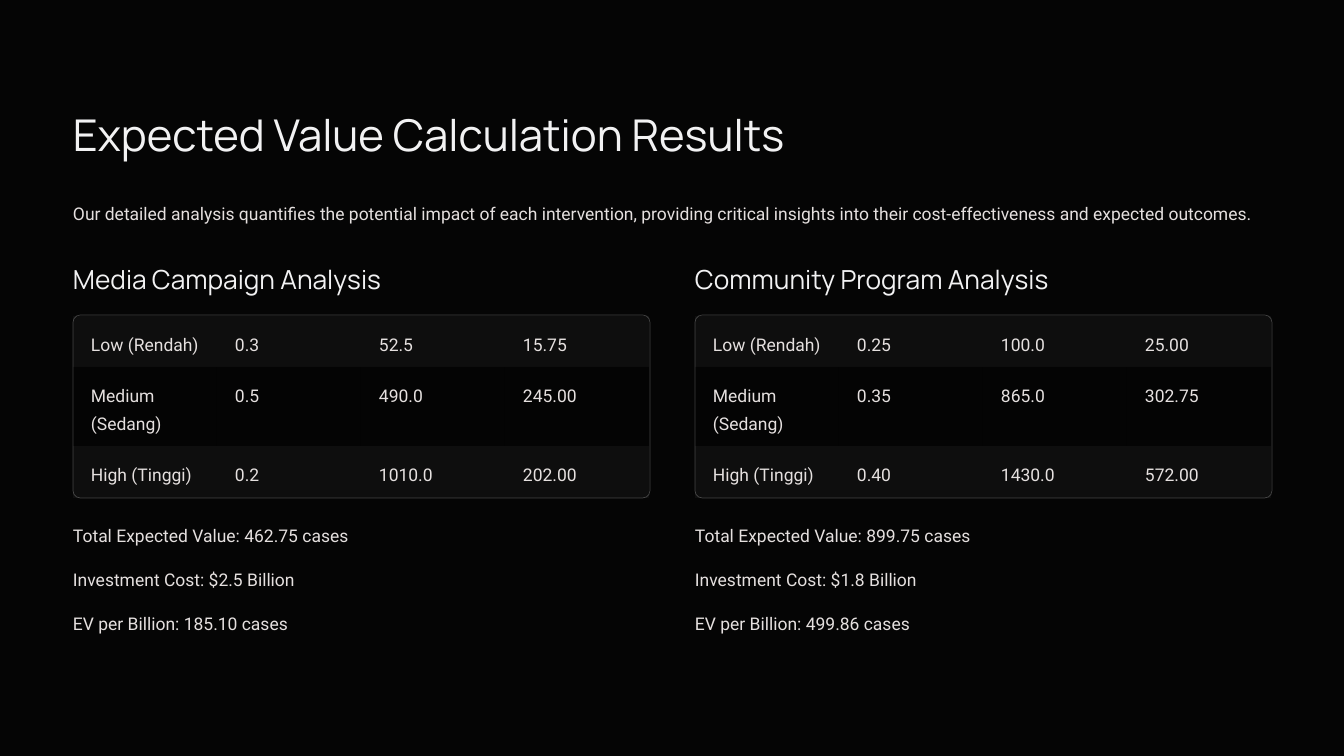
import pptx
import pptx.dml.color
import pptx.enum.shapes
import pptx.enum.text
import pptx.oxml.ns
import pptx.util
from lxml import etree

PX = 914400 / 84
SHAPE = pptx.enum.shapes.MSO_SHAPE
WHITE, BLACK, BACKDROP = "FFFFFF", "000000", "050505"
HEADING = dict(font="Manrope", color="F2F2F3")
BODY = dict(font="Roboto", color="E5E0DF", size=15, leading=24)


def px(n):
    return pptx.util.Emu(round(n * PX))


def rgb(color):
    return pptx.dml.color.RGBColor.from_string(color)


def paint(fill, color):
    fill.solid()
    fill.fore_color.rgb = rgb(color)


def write(tf, text, font, color, size, leading):
    """Put one paragraph into a text frame; leading is the line pitch in points."""
    tf.word_wrap = True
    p = tf.paragraphs[0]
    p.line_spacing = pptx.util.Pt(leading)
    r = p.add_run()
    r.text = text
    r.font.name = font
    r.font.size = pptx.util.Pt(size)
    r.font.color.rgb = rgb(color)


def set_opacity(element, percent):
    for clr in element.iter(pptx.oxml.ns.qn("a:srgbClr")):
        alpha = etree.SubElement(clr, pptx.oxml.ns.qn("a:alpha"))
        alpha.set("val", str(percent * 1000))


def clear_borders(tc_pr):
    for i, side in enumerate(("lnL", "lnR", "lnT", "lnB")):
        ln = etree.Element(pptx.oxml.ns.qn("a:" + side), w="0")
        etree.SubElement(ln, pptx.oxml.ns.qn("a:noFill"))
        tc_pr.insert(i, ln)


class Deck:
    """Holds the presentation, its look and the current slide."""

    def __init__(self, width, height):
        self.prs = pptx.Presentation()
        self.prs.slide_width, self.prs.slide_height = px(width), px(height)
        self.s = self.prs.slides.add_slide(self.prs.slide_layouts[6])
        paint(self.s.background.fill, BLACK)
        backdrop = self.shape(SHAPE.RECTANGLE, 0, 0, width, height)
        paint(backdrop.fill, BACKDROP)
        backdrop.line.fill.background()

    def shape(self, kind, x, y, w, h):
        sp = self.s.shapes.add_shape(kind, px(x), px(y), px(w), px(h))
        sp.shadow.inherit = False
        return sp

    def text(self, text, x, y, w, h, **style):
        tf = self.s.shapes.add_textbox(px(x), px(y), px(w), px(h)).text_frame
        tf.margin_left = tf.margin_right = tf.margin_top = tf.margin_bottom = 0
        write(tf, text, **style)

    def frame(self, x, y, w, h):
        sp = self.shape(SHAPE.ROUNDED_RECTANGLE, x, y, w, h)
        sp.adjustments[0] = 0.04
        sp.fill.background()
        sp.line.color.rgb = rgb(WHITE)
        sp.line.width = pptx.util.Pt(0.6)
        set_opacity(sp._element.spPr, 24)

    def table(self, rows, x, y, w, heights):
        table = self.s.shapes.add_table(
            len(rows), len(rows[0]), px(x), px(y), px(w), px(sum(heights))).table
        table.first_row = table.horz_banding = False
        for i, (row, height) in enumerate(zip(rows, heights)):
            table.rows[i].height = px(height)
            for j, value in enumerate(row):
                self.cell(table.cell(i, j), value, BLACK if i % 2 else WHITE)

    def cell(self, cell, value, band):
        cell.margin_left, cell.margin_right = px(18), px(10)
        cell.margin_top, cell.margin_bottom = px(12), px(10)
        cell.vertical_anchor = pptx.enum.text.MSO_ANCHOR.TOP
        paint(cell.fill, band)
        tc_pr = cell._tc.get_or_add_tcPr()
        set_opacity(tc_pr, 4)
        clear_borders(tc_pr)
        write(cell.text_frame, value, **BODY)


LEFT, PANEL_PITCH, PANEL_WIDTH = 73, 622, 577
ROW_HEIGHTS = (51, 79, 52)
LEVELS = ("Low (Rendah)", "Medium (Sedang)", "High (Tinggi)")
PANELS = [
    ("Media Campaign Analysis",
     [("0.3", "52.5", "15.75"), ("0.5", "490.0", "245.00"), ("0.2", "1010.0", "202.00")],
     ("462.75", "2.5", "185.10")),
    ("Community Program Analysis",
     [("0.25", "100.0", "25.00"), ("0.35", "865.0", "302.75"), ("0.40", "1430.0", "572.00")],
     ("899.75", "1.8", "499.86")),
]
SUMMARY = ("Total Expected Value: {} cases", "Investment Cost: ${} Billion",
           "EV per Billion: {} cases")


def main():
    deck = Deck(1344, 756)
    deck.text("Expected Value Calculation Results", LEFT, 105, 766, 55,
              size=37.5, leading=47, **HEADING)
    deck.text("Our detailed analysis quantifies the potential impact of each intervention, "
              "providing critical insights into their cost-effectiveness and expected outcomes.",
              LEFT, 196, 1198, 28, **BODY)
    for i, (title, values, totals) in enumerate(PANELS):
        x = LEFT + i * PANEL_PITCH
        deck.text(title, x, 262, PANEL_WIDTH, 34, size=22.5, leading=28, **HEADING)
        deck.frame(x, 315, PANEL_WIDTH, 183)
        rows = [(level, *row) for level, row in zip(LEVELS, values)]
        deck.table(rows, x, 316, PANEL_WIDTH - 1, ROW_HEIGHTS)
        for j, (label, total) in enumerate(zip(SUMMARY, totals)):
            deck.text(label.format(total), x, 518 + 44 * j, PANEL_WIDTH, 28, **BODY)
    deck.prs.save("out.pptx")


if __name__ == "__main__":
    main()
